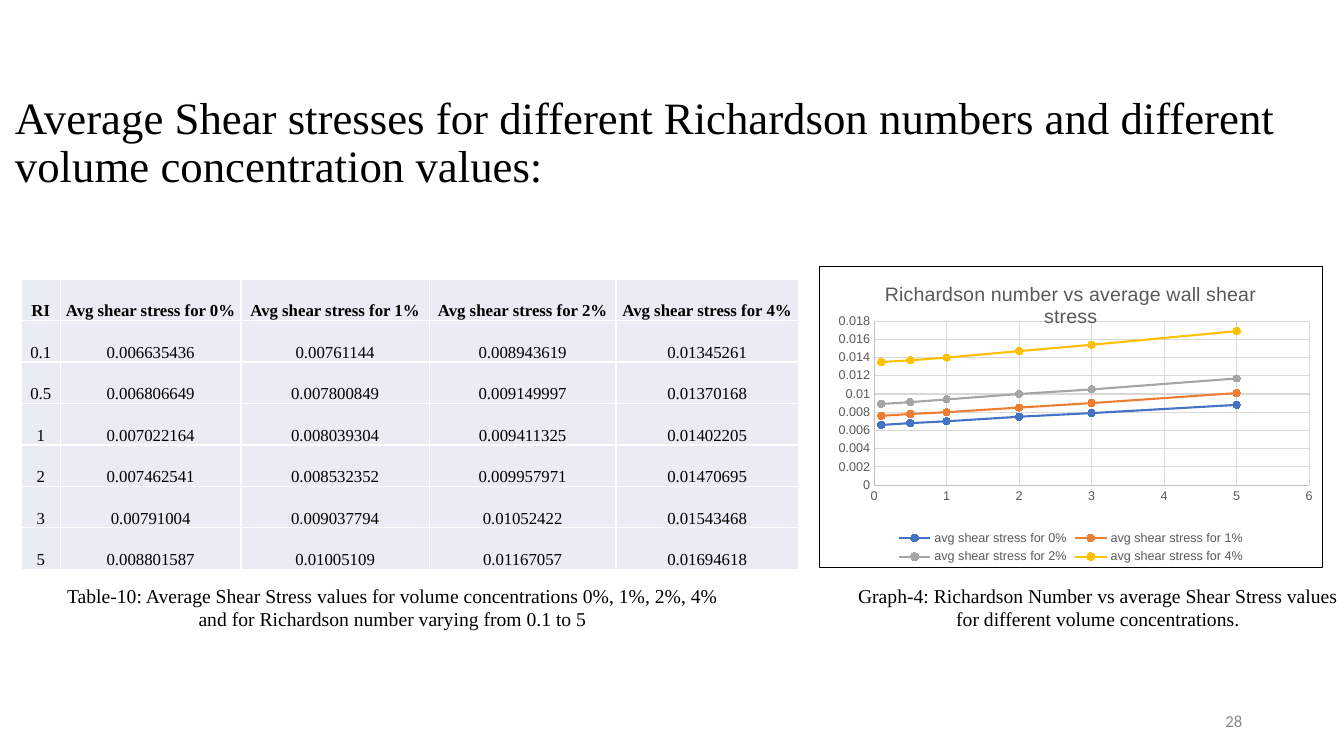
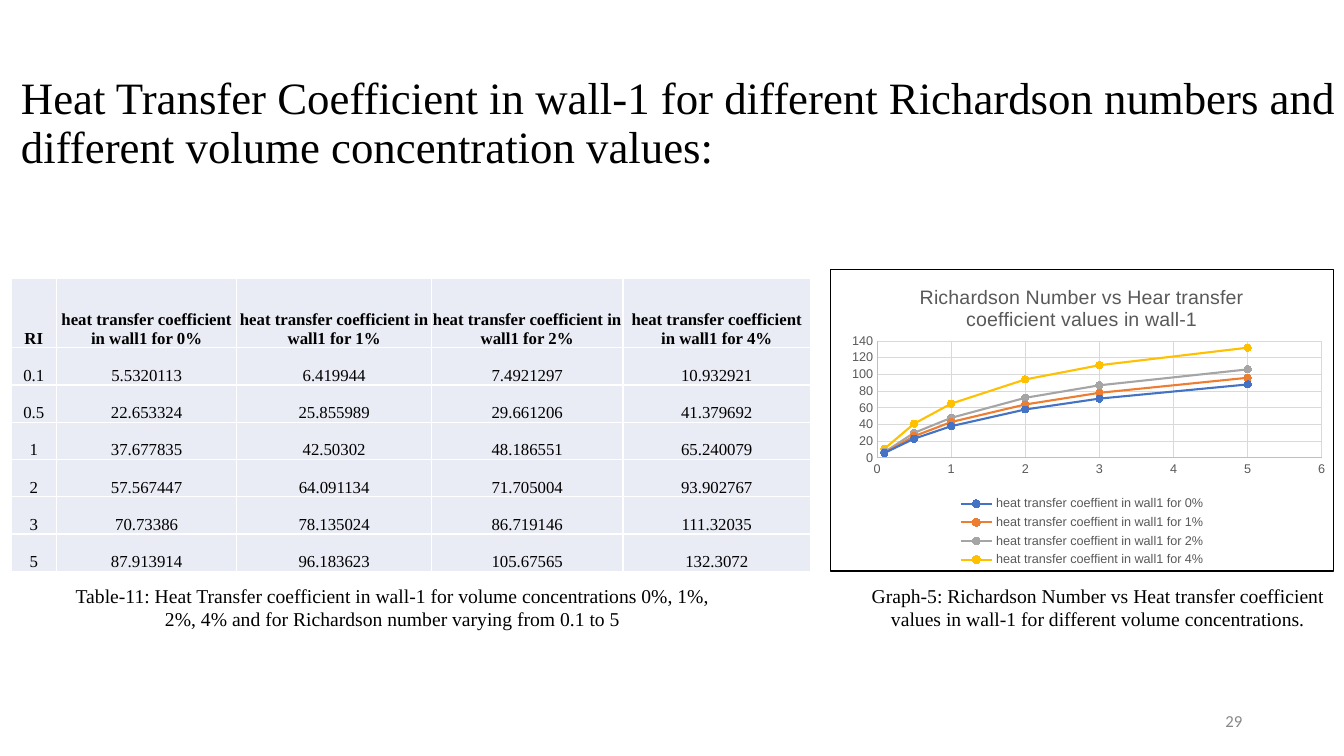
from lxml import etree
from pptx import Presentation
from pptx.chart.data import XyChartData
from pptx.dml.color import RGBColor
from pptx.enum.chart import XL_CHART_TYPE, XL_LEGEND_POSITION, XL_MARKER_STYLE, XL_TICK_MARK
from pptx.enum.text import MSO_ANCHOR, PP_ALIGN
from pptx.oxml import parse_xml
from pptx.oxml.ns import nsdecls, qn
from pptx.util import Inches, Pt

SERIF, SANS, FOOTER_FONT = "Times New Roman", "Arial", "Calibri"
BLACK, WHITE, GREY, FOOTER_GREY = "000000", "FFFFFF", "595959", "888888"
CELL, GRID, AXIS = "E9EBF5", "D9D9D9", "BFBFBF"
SERIES_COLORS = ["4472C4", "ED7D31", "A5A5A5", "FFC000"]
CONCENTRATIONS = ["0%", "1%", "2%", "4%"]
RICHARDSON = [0.1, 0.5, 1, 2, 3, 5]

SLIDES = [
    dict(
        number="28",
        title="Average Shear stresses for different Richardson numbers "
              "and different volume concentration values:",
        title_box=(0.05, 0.73, 13.07, 1.4),
        table_box=(0.21, 2.77, 7.71, 2.88),
        columns=[0.39, 1.79, 1.87, 1.85, 1.81],
        header_height=0.41,
        header="Avg shear stress for",
        rows=[
            [0.006635436, 0.00761144, 0.008943619, 0.01345261],
            [0.006806649, 0.007800849, 0.009149997, 0.01370168],
            [0.007022164, 0.008039304, 0.009411325, 0.01402205],
            [0.007462541, 0.008532352, 0.009957971, 0.01470695],
            [0.00791004, 0.009037794, 0.01052422, 0.01543468],
            [0.008801587, 0.01005109, 0.01167057, 0.01694618],
        ],
        table_caption="Table-10: Average Shear Stress values for volume concentrations "
                      "0%, 1%, 2%, 4% and for Richardson number varying from 0.1 to 5",
        chart_box=(8.12, 2.64, 5, 3),
        chart_title="Richardson number vs average wall shear stress",
        series="avg shear stress for",
        digits=4, y_max=0.018, y_step=0.002,
        plot=(0.109, 0.181, 0.865, 0.544),
        chart_caption="Graph-4: Richardson Number vs average Shear Stress values "
                      "for different volume concentrations.",
    ),
    dict(
        number="29",
        title="Heat Transfer Coefficient in wall-1 for different Richardson numbers "
              "and different volume concentration values:",
        title_box=(0.11, 0.6, 13.35, 1.27),
        table_box=(0.11, 2.76, 7.93, 2.91),
        columns=[0.45, 1.79, 1.93, 1.9, 1.86],
        header_height=0.69,
        header="heat transfer coefficient in wall1 for",
        rows=[
            [5.5320113, 6.419944, 7.4921297, 10.932921],
            [22.653324, 25.855989, 29.661206, 41.379692],
            [37.677835, 42.50302, 48.186551, 65.240079],
            [57.567447, 64.091134, 71.705004, 93.902767],
            [70.73386, 78.135024, 86.719146, 111.32035],
            [87.913914, 96.183623, 105.67565, 132.3072],
        ],
        table_caption="Table-11: Heat Transfer coefficient in wall-1 for volume concentrations "
                      "0%, 1%, 2%, 4% and for Richardson number varying from 0.1 to 5",
        chart_box=(8.23, 2.67, 5, 3),
        chart_title="Richardson Number vs Hear transfer coefficient values in wall-1",
        series="heat transfer coeffient in wall1 for",
        digits=0, y_max=140, y_step=20,
        plot=(0.093, 0.237, 0.884, 0.388),
        chart_caption="Graph-5: Richardson Number vs Heat transfer coefficient values "
                      "in wall-1 for different volume concentrations.",
    ),
]


def rgb(color):
    return RGBColor.from_string(color)


def set_font(font, size, name, color, bold=False):
    font.size, font.name, font.bold = Pt(size), name, bold
    font.color.rgb = rgb(color)


def set_line(line, color, width):
    line.color.rgb = rgb(color)
    line.width = Pt(width)


def write(tf, text, size=14, name=SERIF, color=BLACK, bold=False,
          align=PP_ALIGN.CENTER, spacing=None):
    p = tf.paragraphs[0]
    p.alignment, p.line_spacing = align, spacing
    r = p.add_run()
    r.text = text
    set_font(r.font, size, name, color, bold)


def add_text(s, box, text, anchor=MSO_ANCHOR.TOP, **fmt):
    tf = s.shapes.add_textbox(*map(Inches, box)).text_frame
    tf.word_wrap = True
    tf.vertical_anchor = anchor
    write(tf, text, **fmt)


def style_cell(cell):
    """White borders first, then the fill, as the schema orders them."""
    tc_pr = cell._tc.get_or_add_tcPr()
    for side in ("lnL", "lnR", "lnT", "lnB"):
        ln = etree.SubElement(tc_pr, qn(f"a:{side}"), w=str(Pt(1)))
        fill = etree.SubElement(ln, qn("a:solidFill"))
        etree.SubElement(fill, qn("a:srgbClr"), val=WHITE)
    cell.fill.solid()
    cell.fill.fore_color.rgb = rgb(CELL)
    cell.margin_left = cell.margin_right = cell.margin_top = Inches(0.01)
    cell.margin_bottom = 0
    cell.vertical_anchor = MSO_ANCHOR.BOTTOM


def add_value_table(s, box, columns, header_height, header, rows):
    grid = [["RI"] + [f"{header} {c}" for c in CONCENTRATIONS]]
    grid += [[ri, *row] for ri, row in zip(RICHARDSON, rows)]
    table = s.shapes.add_table(len(grid), len(columns), *map(Inches, box)).table
    table.first_row = table.horz_banding = False
    for column, width in zip(table.columns, columns):
        column.width = Inches(width)
    row_height = (box[3] - header_height) / len(rows)
    for i, values in enumerate(grid):
        table.rows[i].height = Inches(row_height if i else header_height)
        for j, value in enumerate(values):
            cell = table.cell(i, j)
            style_cell(cell)
            write(cell.text_frame, str(value), size=12, bold=i == 0)


def style_axis(axis, maximum, step):
    axis.minimum_scale, axis.maximum_scale, axis.major_unit = 0, maximum, step
    axis.major_tick_mark = axis.minor_tick_mark = XL_TICK_MARK.NONE
    axis.has_major_gridlines = True
    set_line(axis.major_gridlines.format.line, GRID, 0.75)
    set_line(axis.format.line, AXIS, 0.75)
    set_font(axis.tick_labels.font, 9, SANS, GREY)


def frame_chart(chart, plot):
    """Set the inner plot area, as shares of the chart, and the outer border."""
    plot_area = chart.element.find(f".//{qn('c:plotArea')}")
    for old in plot_area.findall(qn("c:layout")):
        plot_area.remove(old)
    layout = parse_xml(f"<c:layout {nsdecls('c')}><c:manualLayout/></c:layout>")
    settings = [("layoutTarget", "inner"), ("xMode", "edge"), ("yMode", "edge")]
    for tag, val in settings + list(zip("xywh", plot)):
        etree.SubElement(layout[0], qn(f"c:{tag}"), val=str(val))
    plot_area.insert(0, layout)
    chart.element.find(qn("c:txPr")).addprevious(parse_xml(
        f'<c:spPr {nsdecls("c", "a")}><a:solidFill><a:srgbClr val="{WHITE}"/></a:solidFill>'
        f'<a:ln w="{Pt(0.75)}"><a:solidFill><a:srgbClr val="{BLACK}"/></a:solidFill></a:ln>'
        "</c:spPr>"))


def add_curve_chart(s, box, title, series, rows, digits, y_max, y_step, plot):
    data = XyChartData()
    for concentration, values in zip(CONCENTRATIONS, zip(*rows)):
        points = data.add_series(f"{series} {concentration}")
        for x, y in zip(RICHARDSON, values):
            points.add_data_point(x, round(y, digits))
    chart = s.shapes.add_chart(XL_CHART_TYPE.XY_SCATTER_SMOOTH, *map(Inches, box), data).chart
    set_font(chart.font, 10, SANS, BLACK)
    chart.has_title = True
    write(chart.chart_title.text_frame, title, size=14, name=SANS, color=GREY)
    chart.has_legend = True
    chart.legend.position = XL_LEGEND_POSITION.BOTTOM
    chart.legend.include_in_layout = False
    set_font(chart.legend.font, 9, SANS, GREY)
    style_axis(chart.category_axis, 6, 1)
    style_axis(chart.value_axis, y_max, y_step)
    chart.plots[0].vary_by_categories = False
    for curve, color in zip(chart.plots[0].series, SERIES_COLORS):
        curve.smooth = True
        set_line(curve.format.line, color, 1.5)
        marker = curve.marker
        marker.style, marker.size = XL_MARKER_STYLE.CIRCLE, 5
        marker.format.fill.solid()
        marker.format.fill.fore_color.rgb = rgb(color)
        set_line(marker.format.line, color, 0.75)
    frame_chart(chart, plot)


def add_results_slide(prs, d):
    s = prs.slides.add_slide(prs.slide_layouts[6])
    add_text(s, d["title_box"], d["title"], anchor=MSO_ANCHOR.MIDDLE, size=32,
             align=PP_ALIGN.LEFT, spacing=0.9)
    add_text(s, (9.42, 6.95, 3, 0.4), d["number"], anchor=MSO_ANCHOR.MIDDLE, size=12,
             name=FOOTER_FONT, color=FOOTER_GREY, align=PP_ALIGN.RIGHT)
    add_value_table(s, d["table_box"], d["columns"], d["header_height"], d["header"], d["rows"])
    add_curve_chart(s, d["chart_box"], d["chart_title"], d["series"], d["rows"],
                    d["digits"], d["y_max"], d["y_step"], d["plot"])
    add_text(s, (0.56, 5.74, 6.67, 0.57), d["table_caption"])
    add_text(s, (8.33, 5.74, 5.12, 0.57), d["chart_caption"])


def main():
    prs = Presentation()
    prs.slide_width, prs.slide_height = Inches(13.33), Inches(7.5)
    for content in SLIDES:
        add_results_slide(prs, content)
    prs.save("out.pptx")


if __name__ == "__main__":
    main()
